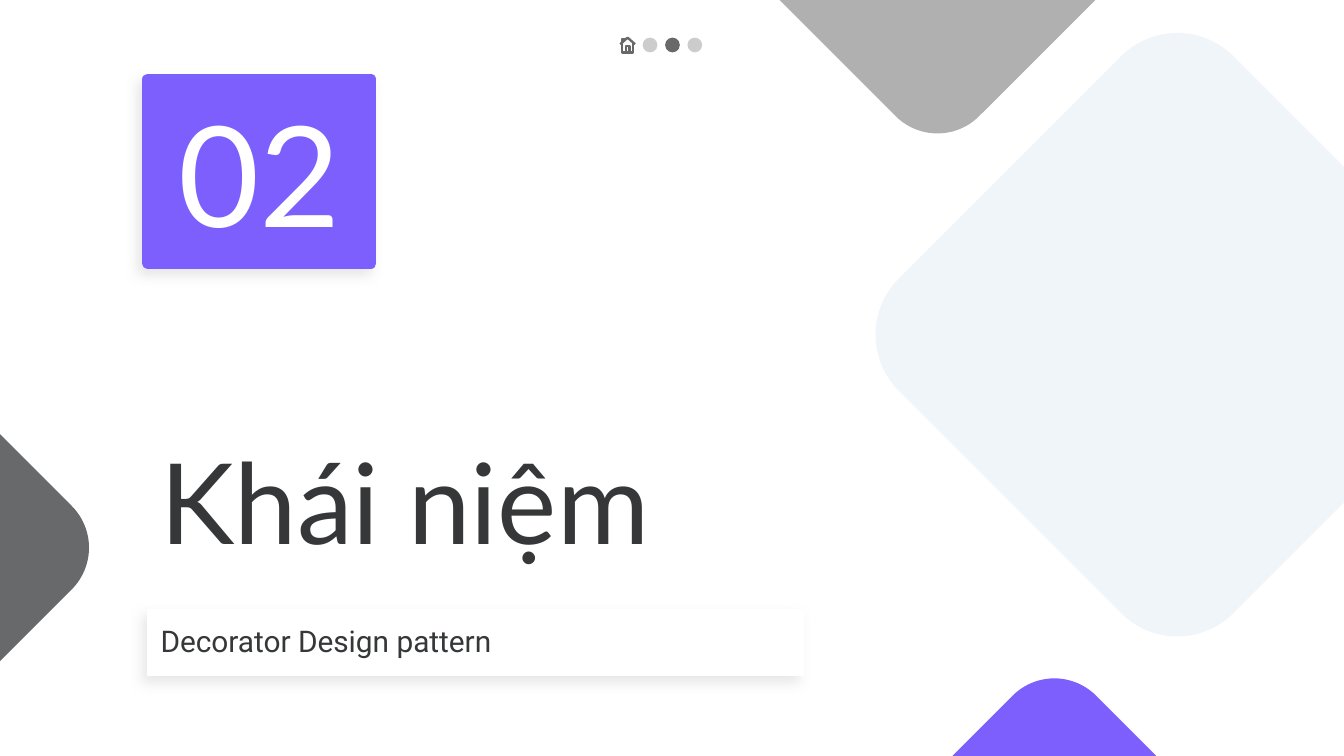
from collections import namedtuple

from lxml.etree import SubElement
from pptx import Presentation
from pptx.dml.color import RGBColor
from pptx.enum.shapes import MSO_SHAPE
from pptx.enum.text import MSO_ANCHOR, MSO_AUTO_SIZE, PP_ALIGN
from pptx.oxml.ns import qn
from pptx.util import Inches, Pt

# The page is a grid of 100 columns; rows have the same pitch.
UNIT = Inches(0.1)
COLUMNS, ROWS = 100, 56.25
VIOLET, GREY, SLATE = "7D5FFE", "B0B0B0", "67696B"
INK, WHITE, MIST = "353738", "FFFFFF", "F0F5FA"
ROUNDNESS = 0.167

Box = namedtuple("Box", "left top width height")


def grid(value):
    return round(value * UNIT)


def place(shape, box):
    for name, value in box._asdict().items():
        setattr(shape, name, grid(value))


def paint(color_format, color):
    color_format.rgb = RGBColor.from_string(color)


def fill_with(shape, color, alpha=None):
    shape.fill.solid()
    paint(shape.fill.fore_color, color)
    if alpha is not None:
        color_node = shape._element.spPr.find(qn("a:solidFill"))[0]
        SubElement(color_node, qn("a:alpha"), val=str(alpha * 1000))


def outline(shape, color, width):
    paint(shape.line.color, color)
    shape.line.width = Pt(width)
    SubElement(shape.line._get_or_add_ln(), qn("a:round"))


def add_plain_shape(page, kind, box, color, alpha=None):
    shape = page.shapes.add_shape(kind, *map(grid, box))
    shape.shadow.inherit = False
    shape.line.fill.background()
    fill_with(shape, color, alpha)
    return shape


def cast_shadow(shape):
    shape.shadow.inherit = False
    effects = shape._element.spPr.find(qn("a:effectLst"))
    shadow = SubElement(effects, qn("a:outerShdw"), blurRad=str(Pt(6.8)),
                        dist=str(Pt(4.5)), dir=str(130 * 60000),
                        algn="bl", rotWithShape="0")
    color_node = SubElement(shadow, qn("a:srgbClr"), val=GREY)
    SubElement(color_node, qn("a:alpha"), val="30000")


def write(shape, text, font, size, color, anchor, align=PP_ALIGN.LEFT):
    frame = shape.text_frame
    frame_format = {"word_wrap": True, "auto_size": MSO_AUTO_SIZE.NONE,
                    "vertical_anchor": anchor}
    for side in ("left", "top", "right", "bottom"):
        frame_format[f"margin_{side}"] = grid(1)
    para = frame.paragraphs[0]
    span = para.add_run()
    span.text = text
    formats = (
        (frame, frame_format),
        (para, {"alignment": align, "space_before": Pt(0)}),
        (span.font, {"name": font, "size": Pt(size), "bold": False}),
    )
    for target, values in formats:
        for name, value in values.items():
            setattr(target, name, value)
    paint(span.font.color, color)


def add_diamonds(page):
    """Rounded squares turned on their corners, some running off the page."""
    for left, top, side, color in (
        (56.6, -20, 26.3, GREY),
        (-23.3, 27.6, 26.3, SLATE),
        (65.3, 54.1, 26.3, VIOLET),
        (70, 7.3, 35.2, MIST),
    ):
        diamond = add_plain_shape(page, MSO_SHAPE.ROUNDED_RECTANGLE,
                                  Box(left, top, side, side), color)
        diamond.adjustments[0] = ROUNDNESS
        diamond.rotation = 315


def add_home_icon(page, box):
    """House outline; points are percentages of the box."""
    roof = ((0, 45), (50, 0), (100, 45))
    walls = ((13, 40), (13, 100), (87, 100), (87, 40))
    door = ((37, 100), (37, 55), (63, 55), (63, 100))
    chimney = ((13, 30), (13, 8), (33, 8))
    builder = page.shapes.build_freeform(*roof[0], scale=grid(box.width) / 100)
    builder.add_line_segments(roof[1:], close=False)
    for stroke in (walls, door, chimney):
        builder.move_to(*stroke[0])
        builder.add_line_segments(stroke[1:], close=False)
    house = builder.convert_to_shape(grid(box.left), grid(box.top))
    house.shadow.inherit = False
    house.fill.background()
    outline(house, SLATE, 1.25)


def add_progress(page, box, steps, current):
    """Home icon followed by one dot for each step, spread evenly."""
    side = box.height
    pitch = (box.width - side) / steps
    add_home_icon(page, Box(box.left, box.top, side, side))
    for step in range(1, steps + 1):
        color, alpha = (SLATE, None) if step == current else (GREY, 64)
        dot = Box(box.left + step * pitch, box.top, side, side)
        add_plain_shape(page, MSO_SHAPE.OVAL, dot, color, alpha)


def add_number(page, box, number):
    card = add_plain_shape(page, MSO_SHAPE.RECTANGLE, box, VIOLET)
    outline(card, VIOLET, 6)
    cast_shadow(card)
    write(card, number, "Lato", 75, WHITE, MSO_ANCHOR.MIDDLE, PP_ALIGN.CENTER)


def add_heading(page, box, title, subtitle, strip_height):
    """Title above, with the subtitle on a white strip along the bottom."""
    gap = 2.1
    heading, strip = page.placeholders
    place(heading, box._replace(height=box.height - strip_height - gap))
    write(heading, title, "Lato", 60, INK, MSO_ANCHOR.BOTTOM)
    place(strip, box._replace(top=box.top + box.height - strip_height,
                              height=strip_height))
    fill_with(strip, WHITE)
    cast_shadow(strip)
    write(strip, subtitle, "Roboto", 16, INK, MSO_ANCHOR.TOP)


def build_section_slide(deck):
    page = deck.slides.add_slide(deck.slide_layouts[0])
    page.background.fill.solid()
    paint(page.background.fill.fore_color, WHITE)
    add_diamonds(page)
    add_number(page, Box(11, 5.9, 16.6, 13.7), "02")
    add_heading(page, Box(10.95, 21.9, 48.9, 28.4), "Khái niệm",
                "Decorator Design pattern", 5)
    add_progress(page, Box(46.15, 2.8, 6.1, 1.1), steps=3, current=2)


def main():
    deck = Presentation()
    deck.slide_width, deck.slide_height = grid(COLUMNS), grid(ROWS)
    build_section_slide(deck)
    deck.save("out.pptx")


if __name__ == "__main__":
    main()
